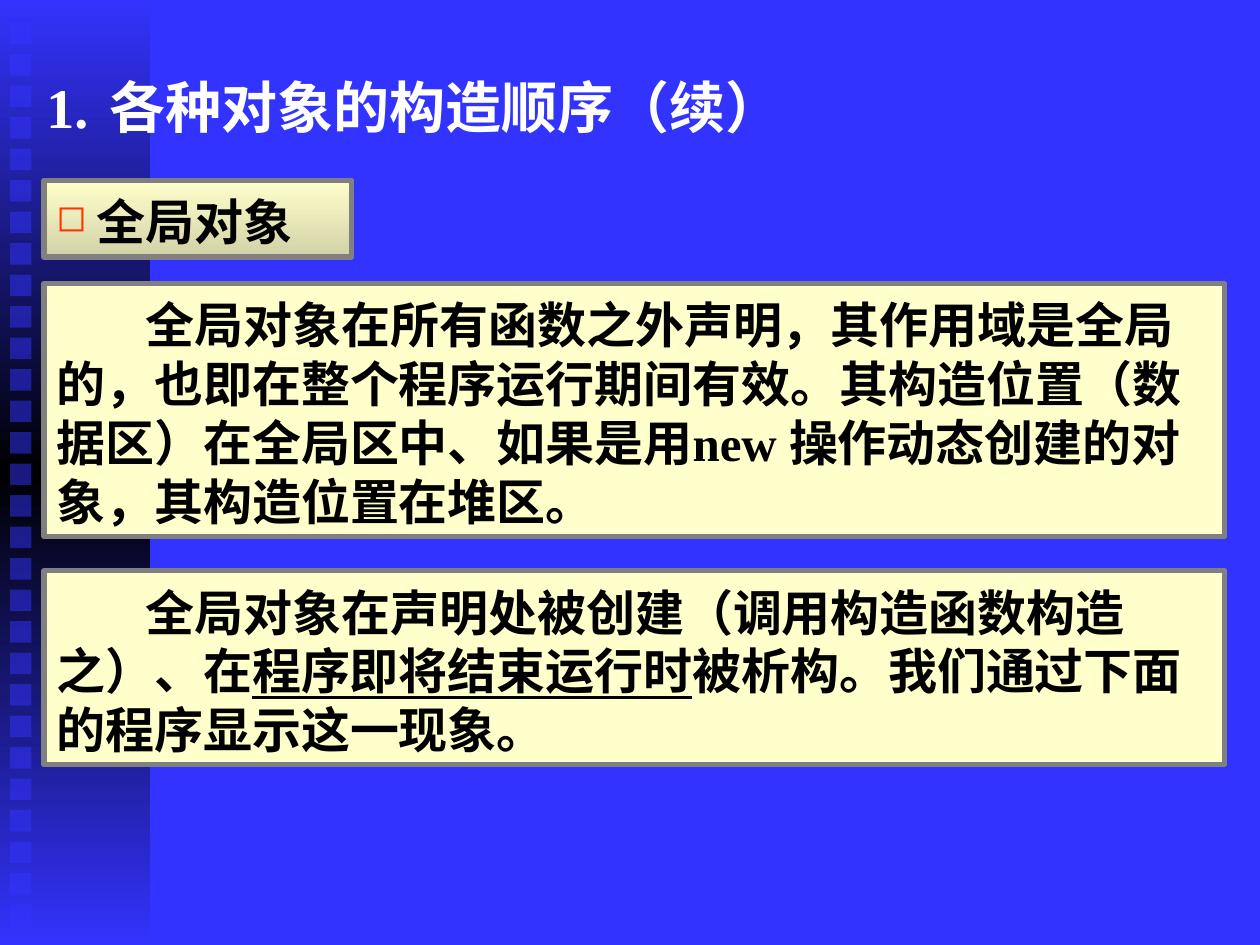
from pptx import Presentation
from pptx.dml.color import RGBColor
from pptx.enum.shapes import MSO_SHAPE as SHAPE
from pptx.enum.text import MSO_ANCHOR as ANCHOR, PP_ALIGN as ALIGN
from pptx.oxml import parse_xml
from pptx.oxml.ns import nsdecls, qn
from pptx.util import Inches, Pt
from lxml import etree

rgb = RGBColor.from_string
BLUE, CREAM = "3333FF", "FFFFCC"


def add_rect(x, y, w, h, fill, line=None):
    """Add a rectangle; a list of (percent, colour) fill stops runs downwards."""
    sp = s.shapes.add_shape(SHAPE.RECTANGLE, *map(Inches, (x, y, w, h)))
    sp.shadow.inherit = False
    if isinstance(fill, str):
        sp.fill.solid()
        sp.fill.fore_color.rgb = rgb(fill)
    else:
        sp.fill.gradient()
        stops = "".join(f'<a:gs pos="{pos * 1000}"><a:srgbClr val="{c}"/></a:gs>'
                        for pos, c in fill)
        old = sp._element.spPr.find(qn("a:gradFill"))
        old.getparent().replace(old, parse_xml(
            f'<a:gradFill {nsdecls("a")} rotWithShape="1"><a:gsLst>{stops}</a:gsLst>'
            '<a:lin ang="5400000" scaled="0"/></a:gradFill>'))
    if line:
        sp.line.color.rgb = rgb(line)
        sp.line.width = Pt(3)
    else:
        sp.line.fill.background()
    return sp


def write(sp, runs, size, color, top, anchor, indent=(0, 0), extras=()):
    """Write one paragraph of (text, underline) runs."""
    tf = sp.text_frame
    frame = {"word_wrap": True, "vertical_anchor": anchor,
             "margin_left": Inches(0.1), "margin_right": Inches(0.1),
             "margin_top": Inches(top), "margin_bottom": Inches(0.05)}
    for name, value in frame.items():
        setattr(tf, name, value)
    p = tf.paragraphs[0]
    p.alignment = ALIGN.LEFT
    pPr = p._p.get_or_add_pPr()
    for name, value in zip(("marL", "indent"), indent):
        pPr.set(name, str(Inches(value)))
    for xml in extras:
        pPr.append(parse_xml(xml))
    for text, underline in runs:
        r = p.add_run()
        r.text = text
        font = {"name": "Times New Roman", "size": Pt(size), "bold": True,
                "underline": underline}
        for name, value in font.items():
            setattr(r.font, name, value)
        r.font.color.rgb = rgb(color)


prs = Presentation()
prs.slide_width, prs.slide_height = Inches(10), Inches(7.5)
s = prs.slides.add_slide(prs.slide_layouts[6])
s.background.fill.solid()
s.background.fill.fore_color.rgb = rgb(BLUE)

# Side band with a column of half-transparent squares
add_rect(0, 0, 1.19, 7.5, [(0, BLUE), (50, "000000"), (100, BLUE)])
for i in range(29):
    sp = add_rect(0.08, 0.18 + i * 0.25, 0.17, 0.17, BLUE)
    clr = sp._element.spPr.find(qn("a:solidFill"))[0]
    etree.SubElement(clr, qn("a:alpha")).set("val", "50000")

# Title, with a tab stop after the number
title = s.shapes.add_textbox(Inches(0.27), Inches(0.39), Inches(9.37), Inches(0.91))
tab = (f'<a:tabLst {nsdecls("a")}><a:tab pos="{Inches(0.66)}" algn="l"/></a:tabLst>')
write(title, [("1.\t各种对象的构造顺序（续）", False)], 32, "FFFFFF", 0.05,
      ANCHOR.MIDDLE, extras=[tab])

# Bulleted heading and the two explanations
bullet = [f'<a:buClr {nsdecls("a")}><a:srgbClr val="FF3300"/></a:buClr>',
          f'<a:buSzPct {nsdecls("a")} val="75000"/>',
          f'<a:buChar {nsdecls("a")} char="◻"/>']
boxes = [
    (1.43, 2.44, 0.61, [(0, CREAM), (100, "D2D2A8")], (0.32, -0.32), bullet,
     [("全局对象", False)]),
    (2.25, 9.37, 2.01, CREAM, (0, 0.71), (),
     [("全局对象在所有函数之外声明，其作用域是全局的，也即在整个程序运行期间有效。"
       "其构造位置（数据区）在全局区中、如果是用new 操作动态创建的对象，"
       "其构造位置在堆区。", False)]),
    (4.53, 9.37, 1.54, CREAM, (0, 0.71), (),
     [("全局对象在声明处被创建（调用构造函数构造之）、在", False),
      ("程序即将结束运行时", True),
      ("被析构。我们通过下面的程序显示这一现象。", False)]),
]
for y, w, h, fill, indent, extras, runs in boxes:
    sp = add_rect(0.35, y, w, h, fill, "808080")
    write(sp, runs, 28, "000000", 0.09, ANCHOR.TOP, indent, extras)

prs.save("out.pptx")
